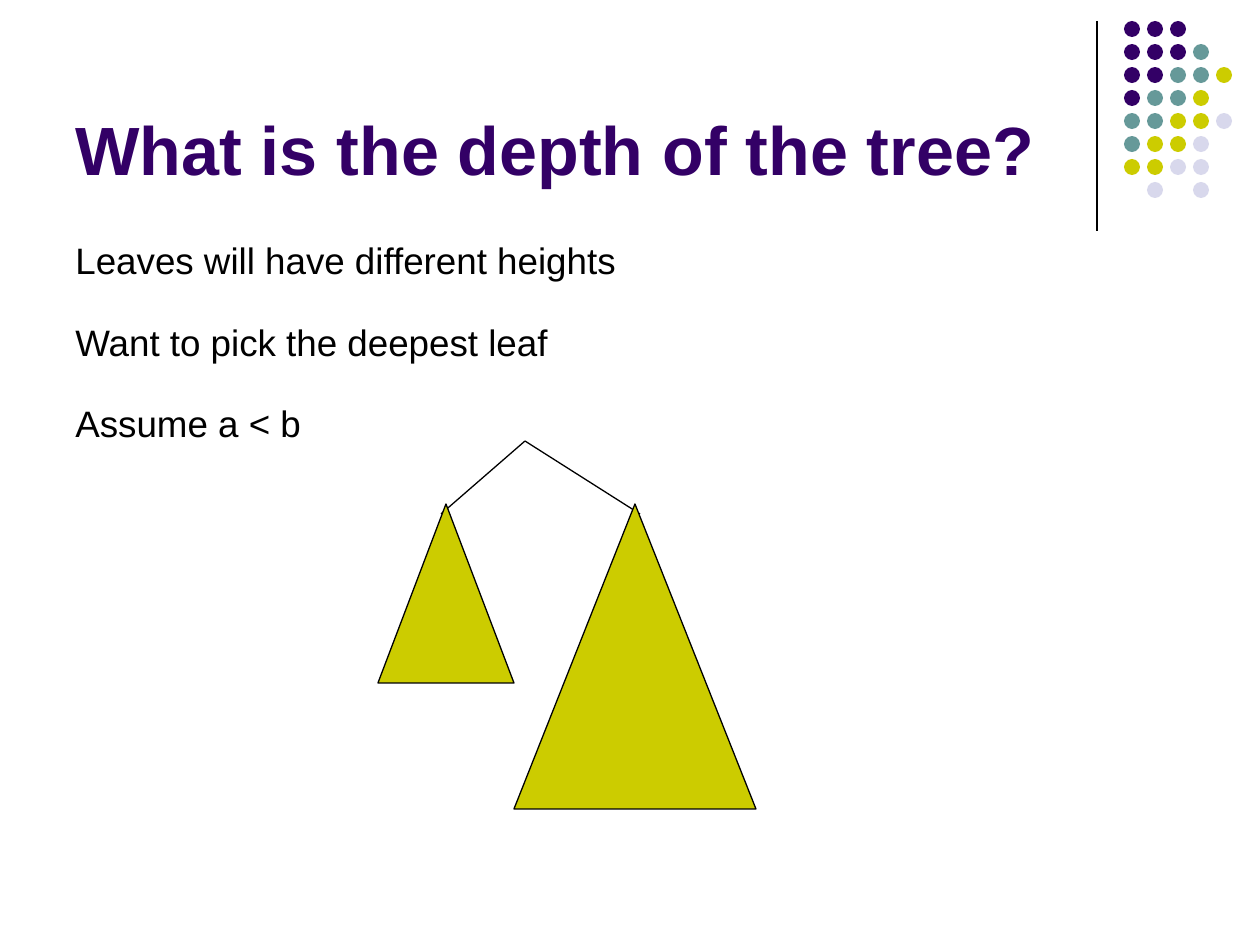
from lxml.etree import SubElement
from pptx import Presentation
from pptx.dml.color import RGBColor as Rgb
from pptx.enum.shapes import MSO_CONNECTOR as Link, MSO_SHAPE as Kind
from pptx.enum.text import MSO_ANCHOR as Anchor
from pptx.oxml.ns import qn
from pptx.util import Emu, Pt

THEME = {
    "ink": Rgb.from_string("000000"),
    "dark": Rgb.from_string("330066"),
    "teal": Rgb.from_string("669999"),
    "lime": Rgb.from_string("CCCC00"),
    "pale": Rgb.from_string("D8D8EC"),
    "font": "Arial",
    "title": Pt(39),
    "body": Pt(21),
    "rule": Pt(0.75),
}
SHADES = {"d": "dark", "t": "teal", "l": "lime", "p": "pale"}
DOTS = ["ddd", "dddt", "ddttl", "dttl", "ttllp", "tllp", "llpp", " p p"]


def px(*nums):
    """Turn px lengths into EMU."""
    return [Emu(round(n * 914400 / 126)) for n in nums]


def put(obj, vals):
    """Set each attribute of an object from a dict."""
    for key, val in vals.items():
        setattr(obj, key, val)


def add_line(shapes, start, end):
    """Draw a thin straight line between two points."""
    line = shapes.add_connector(Link.STRAIGHT, *px(*start, *end))
    line.line.color.rgb = THEME["ink"]
    line.line.width = THEME["rule"]
    SubElement(line._element.spPr, qn("a:effectLst"))


def add_form(shapes, kind, box, shade, edge=False):
    """Draw a filled shape, with a thin edge if asked."""
    form = shapes.add_shape(kind, *px(*box))
    form.shadow.inherit = False
    form.fill.solid()
    form.fill.fore_color.rgb = THEME[shade]
    if edge:
        form.line.color.rgb = THEME["ink"]
        form.line.width = THEME["rule"]
    else:
        form.line.fill.background()


def add_text(shapes, box, lines, frame, para, font, shade):
    """Place a text box with one paragraph for each line."""
    text = shapes.add_textbox(*px(*box)).text_frame
    put(text, {"word_wrap": True, **frame})
    for num, line in enumerate(lines):
        par = text.paragraphs[0] if num == 0 else text.add_paragraph()
        put(par, {**para, "space_before": Pt(23.7 if num else 2)})
        run = par.add_run()
        run.text = line
        put(run.font, {"name": THEME["font"], **font})
        run.font.color.rgb = THEME[shade]


def add_motif(shapes, box):
    """Draw the corner rule and its grid of dots."""
    left, top, high = box
    add_line(shapes, (left, top), (left, top + high))
    group = shapes.add_group_shape().shapes
    step, size = 23, 16
    for row, codes in enumerate(DOTS):
        for col, code in enumerate(codes):
            if code in SHADES:
                spot = (left + 27 + col * step, top + row * step, size, size)
                add_form(group, Kind.OVAL, spot, SHADES[code])


def add_tree(shapes, box):
    """Draw a root with a small and a large subtree."""
    left, top = box
    root = (left + 147, top)
    for tip, part in (
        ((63, 73), (0, 63, 136, 179)),
        ((262, 73), (136, 63, 242, 305)),
    ):
        add_line(shapes, root, (left + tip[0], top + tip[1]))
        x, y, wide, high = part
        spot = (left + x, top + y, wide, high)
        add_form(shapes, Kind.ISOSCELES_TRIANGLE, spot, "lime", edge=True)


def main():
    """Build and save the slide."""
    deck = Presentation()
    deck.slide_width, deck.slide_height = px(1260, 945)
    shapes = deck.slides.add_slide(deck.slide_layouts[6]).shapes
    add_motif(shapes, (1097, 21, 210))
    add_text(
        shapes, (63, 16, 1040, 179), ["What is the depth of the tree?"],
        {"vertical_anchor": Anchor.BOTTOM}, {},
        {"size": THEME["title"], "bold": True}, "dark",
    )
    add_text(
        shapes, (63, 237, 1134, 151),
        ["Leaves will have different heights", "Want to pick the deepest leaf",
         "Assume a < b"],
        {"vertical_anchor": Anchor.TOP}, {"line_spacing": 0.9},
        {"size": THEME["body"]}, "ink",
    )
    add_tree(shapes, (378, 441))
    deck.save("out.pptx")


if __name__ == "__main__":
    main()
